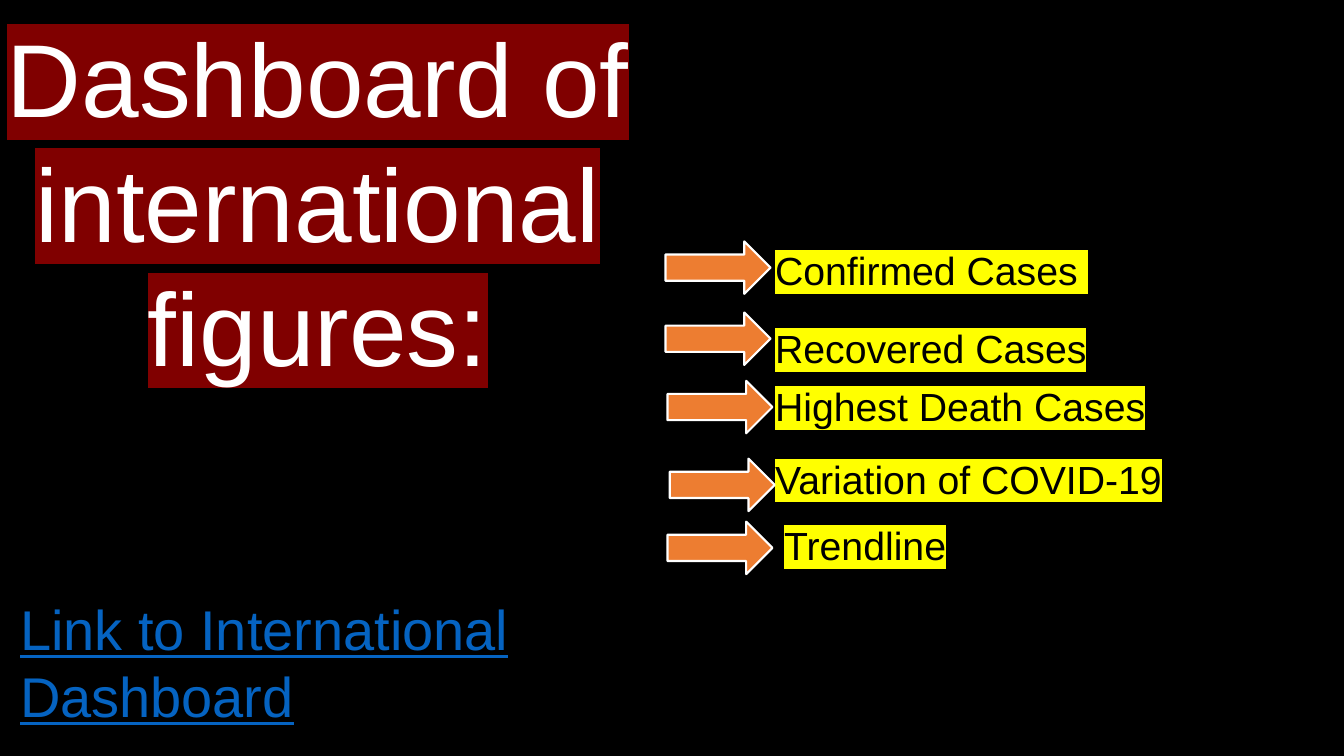
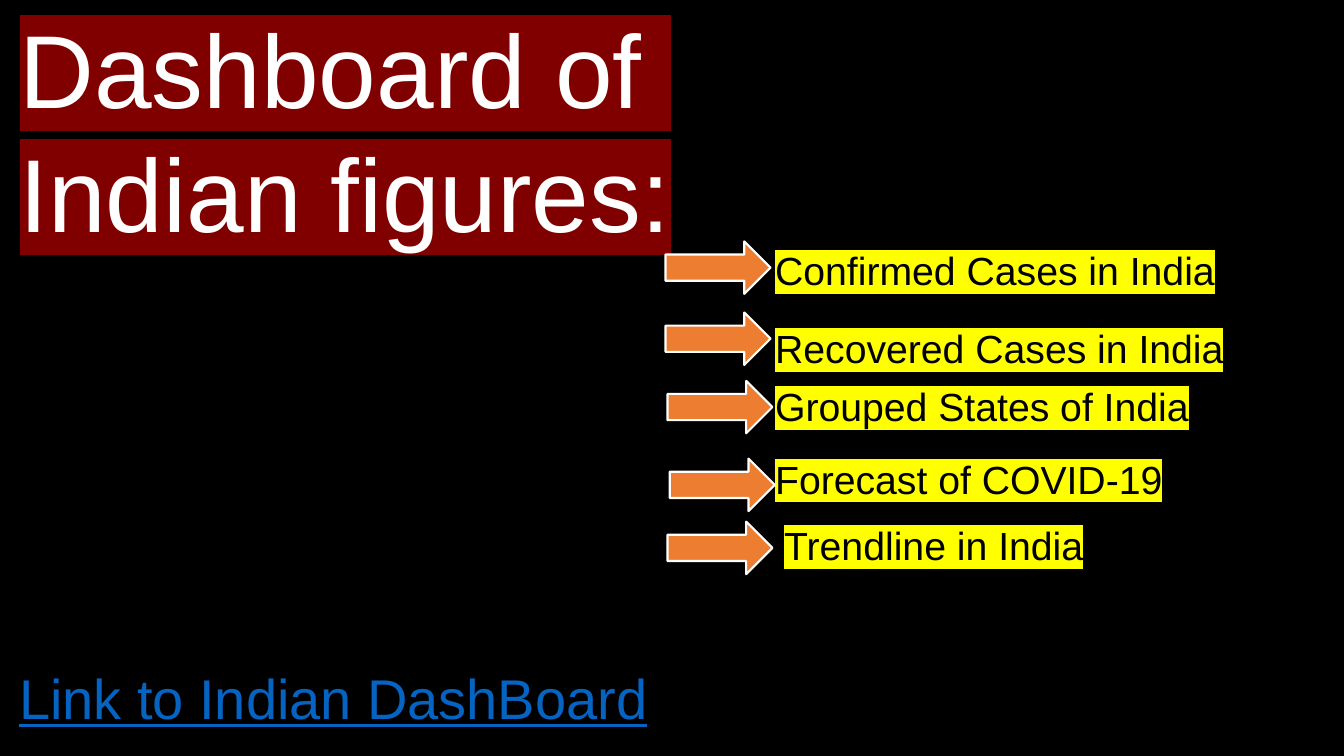
"""Build two dashboard overview slides with arrow-marked topics."""
from dataclasses import dataclass

from lxml import etree
from pptx import Presentation
from pptx.dml.color import RGBColor
from pptx.enum.shapes import MSO_SHAPE
from pptx.enum.text import MSO_ANCHOR, MSO_AUTO_SIZE, PP_ALIGN
from pptx.oxml.ns import qn
from pptx.slide import Slide
from pptx.text.text import TextFrame, _Paragraph, _Run
from pptx.util import Pt

BLACK = RGBColor(0x00, 0x00, 0x00)
WHITE = RGBColor(0xFF, 0xFF, 0xFF)
MAROON = RGBColor(0x80, 0x00, 0x00)
YELLOW = RGBColor(0xFF, 0xFF, 0x00)
ORANGE = RGBColor(0xED, 0x7D, 0x31)
LINK_BLUE = RGBColor(0x05, 0x63, 0xC1)

RIGHT_ARROW = MSO_SHAPE.RIGHT_ARROW
TOP = MSO_ANCHOR.TOP
NO_AUTOFIT = MSO_AUTO_SIZE.NONE
CENTER = PP_ALIGN.CENTER
LEFT = PP_ALIGN.LEFT

FONT = "Arial"
LINE_SPACING = 1.0
ARROW_WIDTH, ARROW_HEIGHT = 75, 37.5


@dataclass(frozen=True)
class Box:
    """Place and size in points."""
    left: float
    top: float
    width: float
    height: float


@dataclass(frozen=True)
class TopicRow:
    """Arrow corner, gap above and indent of one topic."""
    arrow_left: float
    arrow_top: float
    gap: float = 0
    indent: float = 0


@dataclass(frozen=True)
class Dashboard:
    """Wording and places that differ between the slides."""
    title: tuple[str, ...]
    title_box: Box
    topics: tuple[str, ...]
    link: str
    link_box: Box


TOPICS_BOX = Box(546.5, 172.5, 413, 240)
TOPIC_ROWS = (
    TopicRow(475.4, 172.4),
    TopicRow(475.4, 223.2, gap=22),
    TopicRow(476.8, 272, gap=8),
    TopicRow(478.4, 327.6, gap=18),
    TopicRow(476.8, 372.6, gap=14, indent=6.5),
)

DASHBOARDS = (
    Dashboard(
        title=("Dashboard of international", "figures:"),
        title_box=Box(-19.5, 6.5, 493, 276.5),
        topics=("Confirmed Cases ", "Recovered Cases", "Highest Death Cases",
                "Variation of COVID-19", "Trendline"),
        link="Link to International Dashboard",
        link_box=Box(7.2, 421.2, 508, 104.4),
    ),
    Dashboard(
        title=("Dashboard of ", "Indian figures:"),
        title_box=Box(0, 0, 493, 186.5),
        topics=("Confirmed Cases in India", "Recovered Cases in India",
                "Grouped States of India", "Forecast of COVID-19",
                "Trendline in India"),
        link="Link to Indian DashBoard",
        link_box=Box(6.5, 470.2, 613.5, 55.4),
    ),
)


def place(shape, box: Box) -> None:
    """Move and size a shape."""
    shape.left, shape.top = Pt(box.left), Pt(box.top)
    shape.width, shape.height = Pt(box.width), Pt(box.height)


def prepare(frame: TextFrame) -> None:
    """Give a text frame the shared wrapping and anchoring."""
    frame.word_wrap = True
    frame.auto_size = NO_AUTOFIT
    frame.vertical_anchor = TOP


def next_paragraph(frame: TextFrame, index: int, align, gap: float = 0) -> _Paragraph:
    """Return the paragraph at an index with the shared spacing."""
    paragraph = frame.add_paragraph() if index else frame.paragraphs[0]
    paragraph.alignment = align
    paragraph.line_spacing = LINE_SPACING
    paragraph.space_before = Pt(gap)
    return paragraph


def add_run(paragraph: _Paragraph, text: str, size: float, color: RGBColor) -> _Run:
    """Add one formatted run."""
    run = paragraph.add_run()
    run.text = text
    run.font.name = FONT
    run.font.size = Pt(size)
    run.font.color.rgb = color
    return run


def highlight(run: _Run, color: RGBColor) -> None:
    """Put a marker colour behind a run."""
    marker = etree.Element(qn("a:highlight"))
    etree.SubElement(marker, qn("a:srgbClr")).set("val", str(color))
    run._r.get_or_add_rPr().find(qn("a:solidFill")).addnext(marker)


def remove_bullet(paragraph: _Paragraph, indent: float) -> None:
    """Replace the list bullet by a plain left indent."""
    properties = paragraph._p.get_or_add_pPr()
    properties.set("marL", str(Pt(indent)))
    properties.set("indent", "0")
    etree.SubElement(properties, qn("a:buNone"))


def fill_title(slide: Slide, dashboard: Dashboard) -> None:
    """Write the highlighted title."""
    title = slide.shapes.title
    place(title, dashboard.title_box)
    prepare(title.text_frame)
    for index, line in enumerate(dashboard.title):
        paragraph = next_paragraph(title.text_frame, index, CENTER)
        highlight(add_run(paragraph, line, 74, WHITE), MAROON)


def fill_topics(slide: Slide, topics: tuple[str, ...]) -> None:
    """Write the highlighted topic list."""
    body = slide.placeholders[1]
    place(body, TOPICS_BOX)
    prepare(body.text_frame)
    for index, (topic, row) in enumerate(zip(topics, TOPIC_ROWS)):
        paragraph = next_paragraph(body.text_frame, index, LEFT, row.gap)
        remove_bullet(paragraph, row.indent)
        highlight(add_run(paragraph, topic, 28, BLACK), YELLOW)


def add_arrow(slide: Slide, row: TopicRow) -> None:
    """Draw the arrow that points at a topic."""
    arrow = slide.shapes.add_shape(
        RIGHT_ARROW, Pt(row.arrow_left), Pt(row.arrow_top),
        Pt(ARROW_WIDTH), Pt(ARROW_HEIGHT))
    arrow.shadow.inherit = False
    arrow.fill.solid()
    arrow.fill.fore_color.rgb = ORANGE
    arrow.line.color.rgb = WHITE
    arrow.line.width = Pt(1.5)


def add_link(slide: Slide, dashboard: Dashboard) -> None:
    """Write the underlined dashboard reference."""
    box = dashboard.link_box
    link = slide.shapes.add_textbox(
        Pt(box.left), Pt(box.top), Pt(box.width), Pt(box.height))
    prepare(link.text_frame)
    paragraph = next_paragraph(link.text_frame, 0, LEFT)
    add_run(paragraph, dashboard.link, 40, LINK_BLUE).font.underline = True


def main() -> None:
    """Build and save the presentation."""
    presentation = Presentation()
    presentation.slide_width, presentation.slide_height = Pt(960), Pt(540)
    background = presentation.slide_master.background.fill
    background.solid()
    background.fore_color.rgb = BLACK
    for dashboard in DASHBOARDS:
        slide = presentation.slides.add_slide(presentation.slide_layouts[1])
        fill_title(slide, dashboard)
        fill_topics(slide, dashboard.topics)
        for row in TOPIC_ROWS:
            add_arrow(slide, row)
        add_link(slide, dashboard)
    presentation.save("out.pptx")


if __name__ == "__main__":
    main()
